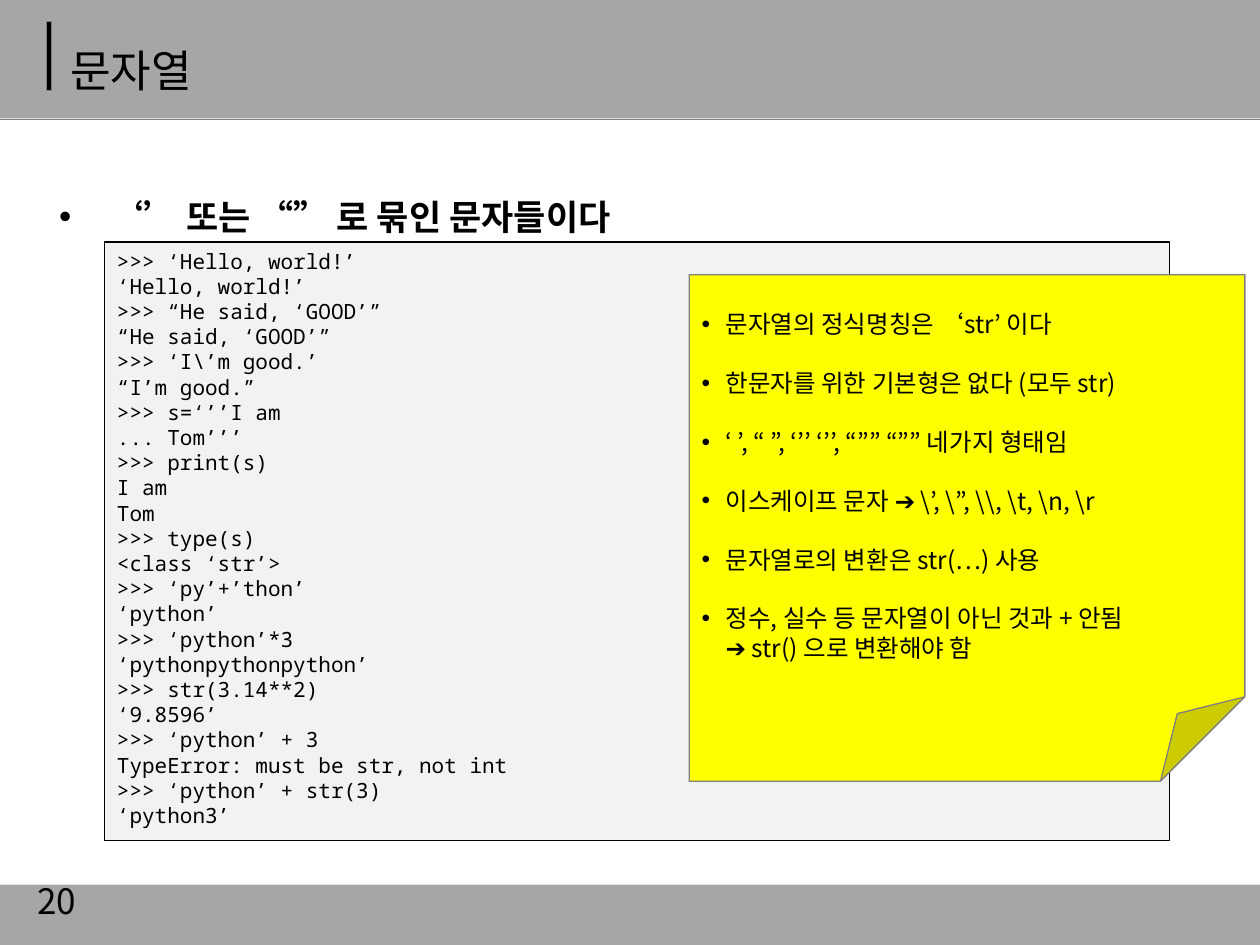
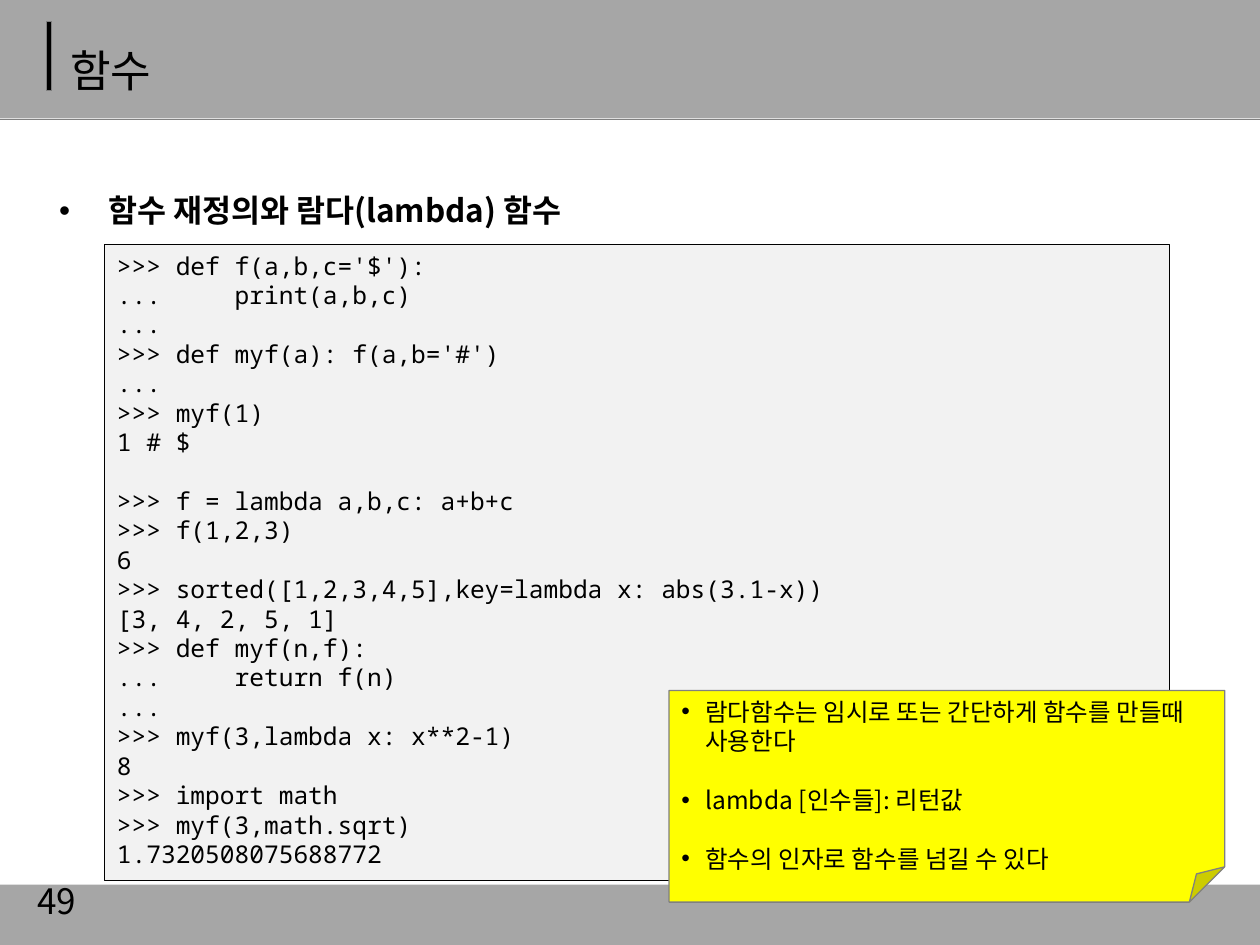
from lxml.etree import SubElement
from pptx import Presentation
from pptx.dml.color import RGBColor
from pptx.enum.shapes import MSO_CONNECTOR as Line, MSO_SHAPE as Shape
from pptx.enum.text import MSO_ANCHOR as Anchor, PP_ALIGN as Align
from pptx.oxml.ns import qn
from pptx.util import Inches, Pt

BLACK = RGBColor(0x00, 0x00, 0x00)
BAND = RGBColor(0xA6, 0xA6, 0xA6)
EDGE = RGBColor(0x80, 0x80, 0x80)
PAPER = RGBColor(0xF2, 0xF2, 0xF2)
YELLOW = RGBColor(0xFF, 0xFF, 0x00)

SANS = "Noto Sans CJK KR"
MONO = "Noto Sans Mono"
LEAD = 1.2  # line pitch as a multiple of the font size

STR_CODE = r"""
>>> ‘Hello, world!’
‘Hello, world!’
>>> “He said, ‘GOOD’”
“He said, ‘GOOD’”
>>> ‘I\’m good.’
“I’m good.”
>>> s=‘’’I am
... Tom’’’
>>> print(s)
I am
Tom
>>> type(s)
<class ‘str’>
>>> ‘py’+’thon’
‘python’
>>> ‘python’*3
‘pythonpythonpython’
>>> str(3.14**2)
‘9.8596’
>>> ‘python’ + 3
TypeError: must be str, not int
>>> ‘python’ + str(3)
‘python3’
"""

STR_NOTES = [
    "문자열의 정식명칭은 ‘str’ 이다",
    "한문자를 위한 기본형은 없다 (모두 str)",
    "‘ ’, “ ”, ‘’’ ‘’’, “”” “”” 네가지 형태임",
    r"이스케이프 문자 ➔ \’, \”, \\, \t, \n, \r",
    "문자열로의 변환은 str(…) 사용",
    "정수, 실수 등 문자열이 아닌 것과 + 안됨\v➔ str() 으로 변환해야 함",
]

FUNC_CODE = """
>>> def f(a,b,c='$'):
...     print(a,b,c)
...
>>> def myf(a): f(a,b='#')
...
>>> myf(1)
1 # $

>>> f = lambda a,b,c: a+b+c
>>> f(1,2,3)
6
>>> sorted([1,2,3,4,5],key=lambda x: abs(3.1-x))
[3, 4, 2, 5, 1]
>>> def myf(n,f):
...     return f(n)
...
>>> myf(3,lambda x: x**2-1)
8
>>> import math
>>> myf(3,math.sqrt)
1.7320508075688772
"""

FUNC_NOTES = [
    "람다함수는 임시로 또는 간단하게 함수를 만들때 사용한다",
    "lambda [인수들]: 리턴값",
    "함수의 인자로 함수를 넘길 수 있다",
]


def add_box(slide, kind, rect, fill, edge=None):
    box = slide.shapes.add_shape(kind, *map(Inches, rect))
    box.shadow.inherit = False
    box.fill.solid()
    box.fill.fore_color.rgb = fill
    if edge is None:
        box.line.fill.background()
    else:
        box.line.color.rgb = edge
        box.line.width = Pt(0.75)
    return box


def style(para, size, font=SANS, bold=False, lines=1):
    """Format a paragraph; lines is its pitch in single lines."""
    para.alignment = Align.LEFT
    para.line_spacing = Pt(round(size * LEAD * lines, 1))
    for run in para.runs:
        run.font.size = Pt(size)
        run.font.name = font
        run.font.bold = bold
        run.font.color.rgb = BLACK
        SubElement(run.font._element, qn("a:ea"), typeface=font)


def add_bullet(para, indent):
    props = para._p.get_or_add_pPr()
    props.set("marL", str(Inches(indent)))
    props.set("indent", str(-Inches(indent)))
    SubElement(props, qn("a:buFont"), typeface="Arial")
    SubElement(props, qn("a:buChar"), char="•")


def add_text(slide, rect, text, size, anchor=Anchor.MIDDLE, **look):
    frame = slide.shapes.add_textbox(*map(Inches, rect)).text_frame
    frame.word_wrap = True
    frame.vertical_anchor = anchor
    para = frame.paragraphs[0]
    para.text = text
    style(para, size, **look)
    return para


def add_frame(slide, title, page):
    """Draw the bands, title and page number that the slides share."""
    add_box(slide, Shape.RECTANGLE, (0, -0.01, 10, 0.95), BAND)
    rule = slide.shapes.add_connector(
        Line.STRAIGHT, 0, Inches(0.95), Inches(10), Inches(0.95))
    rule.line.color.rgb = EDGE
    rule.line.width = Pt(0.75)
    SubElement(rule._element.spPr, qn("a:effectLst"))
    add_box(slide, Shape.RECTANGLE, (0.37, 0.17, 0.04, 0.55), BLACK, EDGE)
    add_box(slide, Shape.RECTANGLE, (0, 7.02, 10, 0.48), BAND)
    add_text(slide, (0.46, 0.14, 8.62, 0.62), title, 25.2, lines=1.5)
    add_text(slide, (0.2, 6.95, 2.33, 0.4), str(page), 20)


def add_topic(slide, text, size):
    para = add_text(slide, (0.37, 1.17, 9.28, 0.75), text, size,
                    Anchor.TOP, bold=True, lines=2)
    add_bullet(para, 0.39)


def add_code(slide, top, height, code, size):
    """Draw a listing; a blank line in it becomes space between paragraphs."""
    box = add_box(slide, Shape.RECTANGLE, (0.83, top, 8.45, height),
                  PAPER, BLACK)
    frame = box.text_frame
    frame.vertical_anchor = Anchor.TOP
    blocks = [block.split("\n") for block in code.strip().split("\n\n")]
    frame.text = "\n".join(line for block in blocks for line in block)
    for para in frame.paragraphs:
        style(para, size, MONO)
    start = 0
    for block in blocks[:-1]:
        start += len(block)
        frame.paragraphs[start].space_before = Pt(size * LEAD)


def add_note(slide, rect, items, anchor, size=14):
    note = add_box(slide, Shape.FOLDED_CORNER, rect, YELLOW, EDGE)
    frame = note.text_frame
    frame.word_wrap = True
    frame.vertical_anchor = anchor
    for i, item in enumerate(items):
        para = frame.add_paragraph() if i else frame.paragraphs[0]
        para.text = item
        style(para, size)
        if i:
            para.space_before = Pt(size * LEAD)
        add_bullet(para, 0.19)


def main():
    prs = Presentation()
    prs.slide_width, prs.slide_height = Inches(10), Inches(7.5)
    blank = prs.slide_layouts[6]

    slide = prs.slides.add_slide(blank)
    add_frame(slide, "문자열", 20)
    add_topic(slide, "‘’ 또는 “” 로 묶인 문자들이다", 20)
    add_code(slide, 1.92, 4.75, STR_CODE, 12)
    add_note(slide, (5.47, 2.18, 4.41, 4.02), STR_NOTES, Anchor.MIDDLE)

    slide = prs.slides.add_slide(blank)
    add_frame(slide, "함수", 49)
    add_topic(slide, "함수 재정의와 람다(lambda) 함수", 18)
    add_code(slide, 1.94, 5.05, FUNC_CODE, 14)
    add_note(slide, (5.31, 5.48, 4.41, 1.68), FUNC_NOTES, Anchor.TOP)

    prs.save("out.pptx")


if __name__ == "__main__":
    main()
